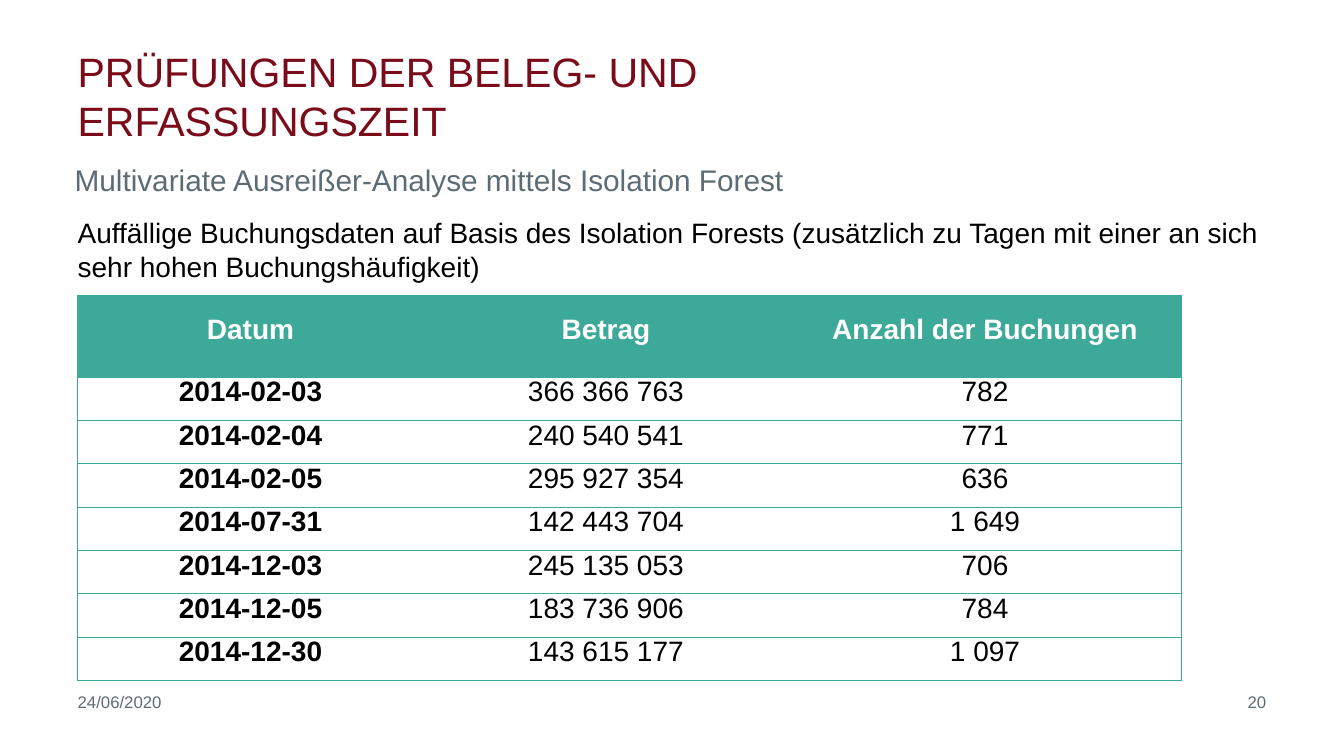
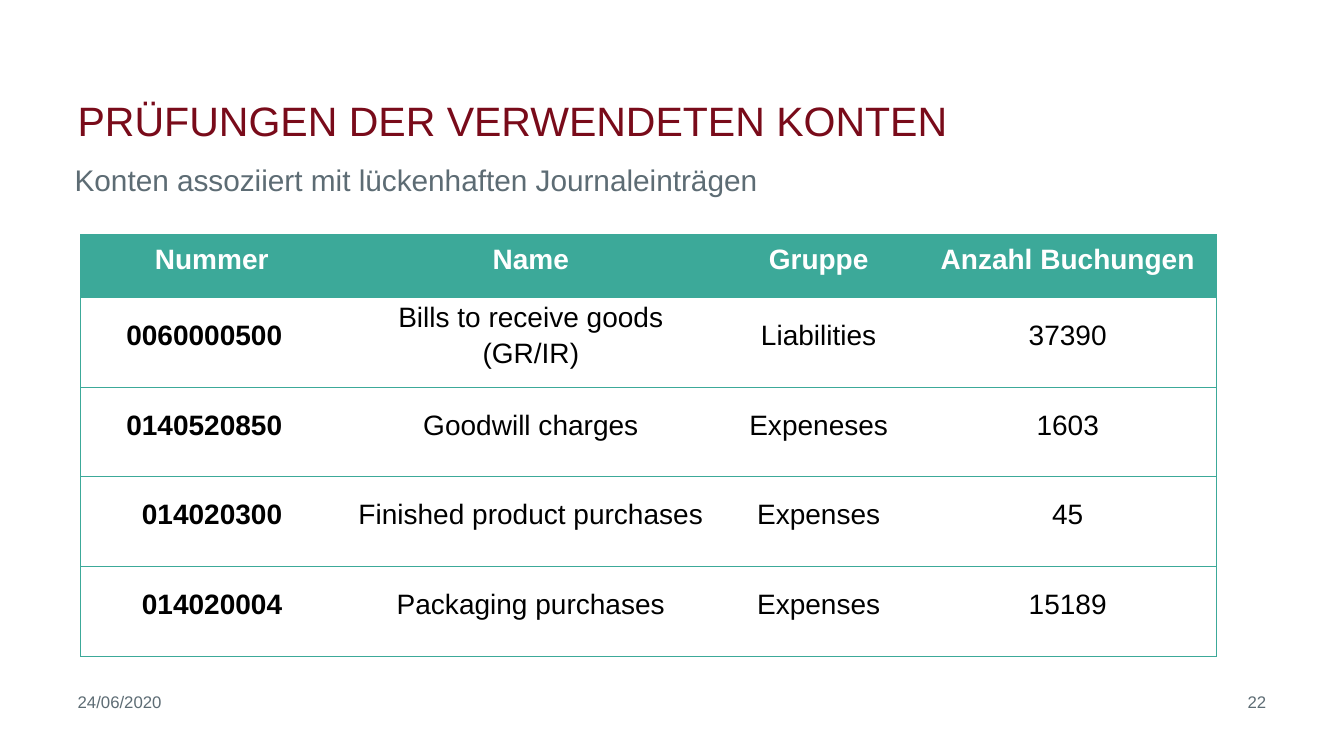
from lxml import etree
from pptx import Presentation
from pptx.dml.color import RGBColor
from pptx.enum import text
from pptx.oxml import ns
from pptx.util import Inches, Pt

FONT = "Arial"
COLORS = {
    "title": "790B1A",
    "muted": "5D6C74",
    "body": "000000",
    "accent": "3CA999",
    "header_text": "FFFFFF",
}
LEFT = 0.77
FOOTER_TOP = 6.86
CELL_MARGIN = 0.07
DATE = "24/06/2020"
CENTER = text.PP_ALIGN.CENTER
RIGHT = text.PP_ALIGN.RIGHT

BOOKING_DAYS = [
    ["Datum", "Betrag", "Anzahl der Buchungen"],
    ["2014-02-03", "366 366 763", "782"],
    ["2014-02-04", "240 540 541", "771"],
    ["2014-02-05", "295 927 354", "636"],
    ["2014-07-31", "142 443 704", "1 649"],
    ["2014-12-03", "245 135 053", "706"],
    ["2014-12-05", "183 736 906", "784"],
    ["2014-12-30", "143 615 177", "1 097"],
]
ACCOUNTS = [
    ["Nummer", "Name", "Gruppe", "Anzahl Buchungen"],
    ["0060000500", "Bills to receive goods\n(GR/IR)", "Liabilities", "37390"],
    ["0140520850", "Goodwill charges", "Expeneses", "1603"],
    ["014020300", "Finished product purchases", "Expenses", "45"],
    ["014020004", "Packaging purchases", "Expenses", "15189"],
]


def style_font(font, size, color, bold=False):
    font.name = FONT
    font.size = Pt(size)
    font.bold = bold
    font.color.rgb = RGBColor.from_string(COLORS[color])


def add_text(slide, content, box, size, color, align=text.PP_ALIGN.LEFT,
             anchor=text.MSO_ANCHOR.TOP, space_before=0):
    frame = slide.shapes.add_textbox(*map(Inches, box)).text_frame
    frame.word_wrap = True
    frame.vertical_anchor = anchor
    frame.margin_left = frame.margin_right = 0
    frame.margin_top = frame.margin_bottom = 0
    paragraph = frame.paragraphs[0]
    paragraph.text = content
    paragraph.alignment = align
    paragraph.space_before = Pt(space_before)
    style_font(paragraph.font, size, color)


def set_borders(cell, visible_sides):
    """Draw the given sides (letters of LRTB) in the accent colour, hide the rest."""
    properties = cell._tc.get_or_add_tcPr()
    for position, side in enumerate("LRTB"):
        line = etree.Element(ns.qn(f"a:ln{side}"), w=str(Pt(0.75)))
        if side in visible_sides:
            fill = etree.SubElement(line, ns.qn("a:solidFill"))
            etree.SubElement(fill, ns.qn("a:srgbClr"), val=COLORS["accent"])
        else:
            etree.SubElement(line, ns.qn("a:noFill"))
        properties.insert(position, line)


def fill_cell(cell, content, is_header, is_key, key_indent):
    """Write a cell; a key_indent sets body keys flush right at that distance."""
    flush_right = is_key and not is_header and key_indent is not None
    cell.margin_left = Inches(CELL_MARGIN)
    cell.margin_right = Inches(key_indent if flush_right else CELL_MARGIN)
    cell.margin_top = cell.margin_bottom = 0
    cell.vertical_anchor = text.MSO_ANCHOR.MIDDLE
    cell.text = content
    for number, paragraph in enumerate(cell.text_frame.paragraphs):
        paragraph.alignment = RIGHT if flush_right else CENTER
        paragraph.line_spacing = Pt(13)
        paragraph.space_before = Pt(13 if number else 0)
        style_font(paragraph.font, 20, "header_text" if is_header else "body",
                   bold=is_header or is_key)
    if is_header:
        cell.fill.solid()
        cell.fill.fore_color.rgb = RGBColor.from_string(COLORS["accent"])
    else:
        cell.fill.background()


def add_data_table(slide, rows, left, top, widths, header_height, row_height,
                   key_indent=None):
    heights = [header_height] + [row_height] * (len(rows) - 1)
    table = slide.shapes.add_table(
        len(rows), len(widths), Inches(left), Inches(top),
        Inches(sum(widths)), Inches(sum(heights))).table
    table.horz_banding = False
    for column, width in zip(table.columns, widths):
        column.width = Inches(width)
    for row, height in zip(table.rows, heights):
        row.height = Inches(height)
    last = len(widths) - 1
    for r, values in enumerate(rows):
        for c, value in enumerate(values):
            cell = table.cell(r, c)
            fill_cell(cell, value, r == 0, c == 0, key_indent)
            set_borders(cell, "TB" + "L" * (c == 0) + "R" * (c == last))


def add_framed_slide(prs, title, subtitle, page):
    """Add a slide with title, subtitle, date and page number."""
    slide = prs.slides.add_slide(prs.slide_layouts[6])
    add_text(slide, subtitle, (0.74, 1.6, 11.78, 0.32), 21.3, "muted",
             space_before=5.3)
    add_text(slide, title, (LEFT, 0.39, 9.15, 1.05), 29.3, "title",
             anchor=text.MSO_ANCHOR.BOTTOM)
    add_text(slide, page, (9.9, FOOTER_TOP, 2.66, 0.25), 12, "muted", RIGHT)
    add_text(slide, DATE, (LEFT, FOOTER_TOP, 2.78, 0.25), 12, "muted")
    return slide


def main():
    prs = Presentation()
    prs.slide_width, prs.slide_height = Inches(13.33), Inches(7.5)

    days = add_framed_slide(
        prs, "PRÜFUNGEN DER BELEG- UND ERFASSUNGSZEIT",
        "Multivariate Ausreißer-Analyse mittels Isolation Forest", "20")
    add_text(days, "Auffällige Buchungsdaten auf Basis des Isolation Forests "
             "(zusätzlich zu Tagen mit einer an sich sehr hohen "
             "Buchungshäufigkeit)",
             (LEFT, 2.14, 11.79, 4.45), 20, "body", space_before=5.3)
    add_data_table(days, BOOKING_DAYS, LEFT, 2.93, [3.43, 3.62, 3.9], 0.81, 0.43)

    accounts = add_framed_slide(
        prs, "PRÜFUNGEN DER VERWENDETEN KONTEN",
        "Konten assoziiert mit lückenhaften Journaleinträgen", "22")
    add_data_table(accounts, ACCOUNTS, 0.8, 2.33, [2.6, 3.73, 1.98, 2.96],
                   0.62, 0.89, key_indent=0.6)

    prs.save("out.pptx")


if __name__ == "__main__":
    main()
